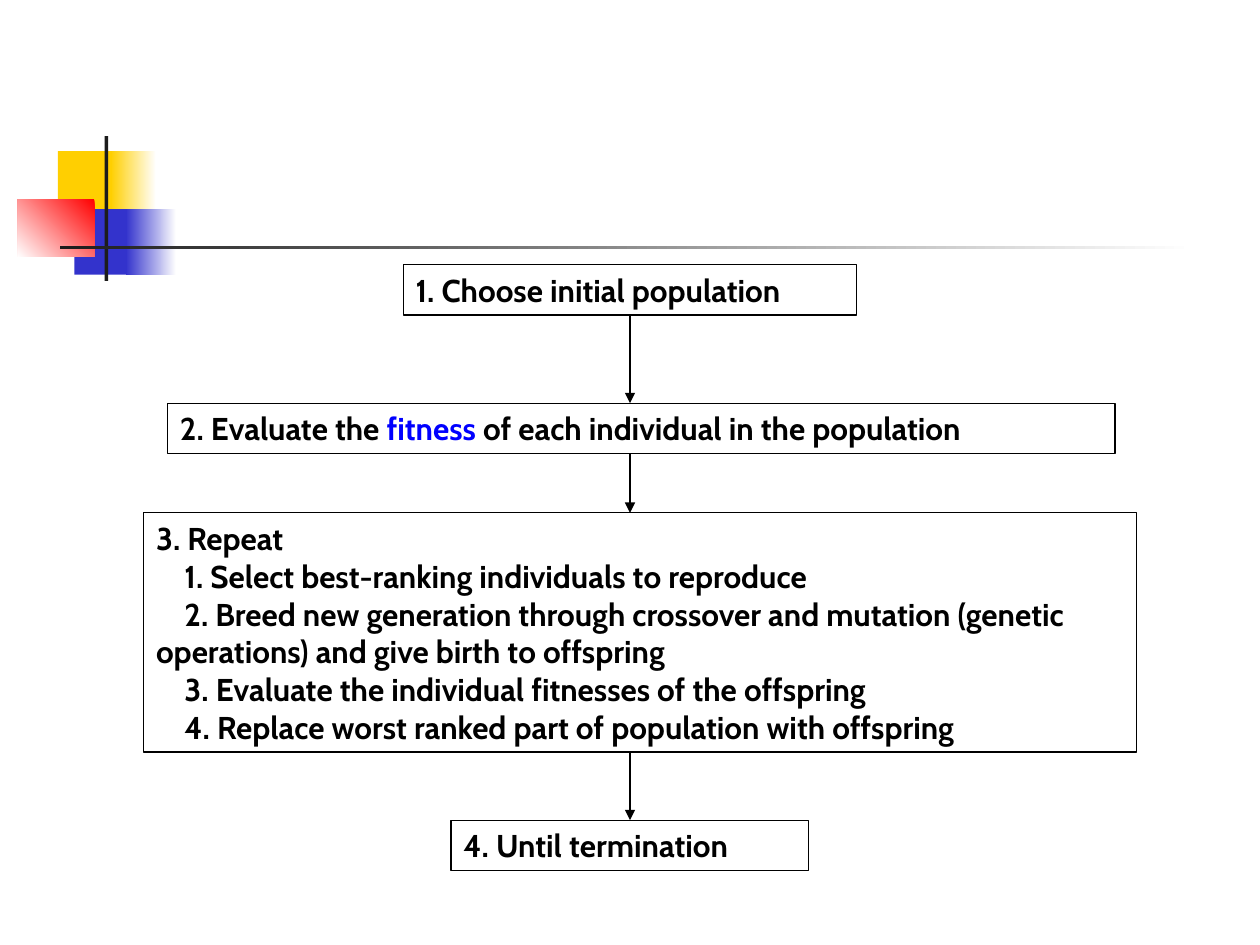
"""Build a slide with the flow of a genetic algorithm."""
from itertools import pairwise
from lxml.etree import SubElement
from pptx import Presentation
from pptx.dml.color import RGBColor
from pptx.enum.shapes import MSO_CONNECTOR, MSO_SHAPE
from pptx.enum.text import MSO_ANCHOR, MSO_AUTO_SIZE, PP_ALIGN
from pptx.oxml.ns import qn
from pptx.util import Inches, Pt

THEME = {
    "font": "Cabin", "size": Pt(18), "line": Pt(0.75),
    "ink": "000000", "mark": "0000FF", "paper": "FFFFFF",
    "gold": "FFCF01", "blue": "3333CC", "red": "FF0000", "dark": "1C1C1C",
}
WIDE, HIGH = Inches(10), Inches(7.5)
COLS, ROWS = 100, 75
AXIS = 50
INDENT = 2.25

DECOR = [
    ((4.6, 12, 4.8, 5.2), ["gold"], 0),
    ((8.8, 12, 3.6, 5.2), ["paper", "gold"], 180),
    ((5.9, 16.6, 4.6, 5.2), ["blue"], 0),
    ((10, 16.6, 4, 5.2), ["paper", "blue"], 180),
    ((1.4, 15.8, 6.1, 4.6), ["red", "paper"], 225),
    ((8.3, 10.8, 0.3, 11.5), ["dark"], 0),
    ((4.8, 19.5, 90, 0.3), ["paper", "dark"], 180),
]

STEPS = [
    ((32, 21, 36, 4), [(0, [("1. Choose initial population", "ink")])]),
    ((13.3, 32, 75.2, 4), [(0, [
        ("2. Evaluate the ", "ink"),
        ("fitness", "mark"),
        (" of each individual in the population", "ink"),
    ])]),
    ((11.4, 40.7, 78.8, 19), [
        (0, [("3. Repeat", "ink")]),
        (1, [("1. Select best-ranking individuals to reproduce", "ink")]),
        (1, [("2. Breed new generation through crossover and mutation "
              "(genetic operations) and give birth to offspring", "ink")]),
        (1, [("3. Evaluate the individual fitnesses of the offspring", "ink")]),
        (1, [("4. Replace worst ranked part of population with offspring",
              "ink")]),
    ]),
    ((35.8, 65.1, 28.4, 4), [(0, [("4. Until termination", "ink")])]),
]


def tone(name):
    return RGBColor.from_string(THEME[name])


def across(cols):
    return round(WIDE * cols / COLS)


def down(rows):
    return round(HIGH * rows / ROWS)


def place(area):
    left, top, width, height = area
    return across(left), down(top), across(width), down(height)


def add_decor(slide, area, tones, angle):
    block = slide.shapes.add_shape(MSO_SHAPE.RECTANGLE, *place(area))
    block.shadow.inherit = False
    block.line.fill.background()
    if len(tones) == 1:
        block.fill.solid()
        block.fill.fore_color.rgb = tone(tones[0])
        return
    block.fill.gradient()
    block.fill.gradient_angle = angle
    for stop, name in zip(block.fill.gradient_stops, tones):
        stop.color.rgb = tone(name)


def add_step(slide, area, lines):
    box = slide.shapes.add_shape(MSO_SHAPE.RECTANGLE, *place(area))
    box.shadow.inherit = False
    box.fill.background()
    box.line.color.rgb = tone("ink")
    box.line.width = THEME["line"]
    frame = box.text_frame
    frame.word_wrap = True
    frame.auto_size = MSO_AUTO_SIZE.NONE
    frame.vertical_anchor = MSO_ANCHOR.TOP
    for row, (level, runs) in enumerate(lines):
        para = frame.paragraphs[0] if row == 0 else frame.add_paragraph()
        para.alignment = PP_ALIGN.LEFT
        if level:
            props = para._p.get_or_add_pPr()
            props.set("marL", "0")
            props.set("indent", str(across(INDENT * level)))
        for text, color in runs:
            run = para.add_run()
            run.text = text
            run.font.name = THEME["font"]
            run.font.size = THEME["size"]
            run.font.bold = True
            run.font.color.rgb = tone(color)
    return box


def add_arrow(slide, above, below):
    mid = across(AXIS)
    arrow = slide.shapes.add_connector(
        MSO_CONNECTOR.STRAIGHT, mid, above.top + above.height, mid, below.top)
    if above.left + above.width // 2 == mid:
        arrow.begin_connect(above, 2)
    if below.left + below.width // 2 == mid:
        arrow.end_connect(below, 0)
    arrow.line.color.rgb = tone("ink")
    arrow.line.width = THEME["line"]
    SubElement(arrow.line._get_or_add_ln(), qn("a:tailEnd"), type="triangle")
    SubElement(arrow._element.spPr, qn("a:effectLst"))


def main():
    deck = Presentation()
    deck.slide_width, deck.slide_height = WIDE, HIGH
    slide = deck.slides.add_slide(deck.slide_layouts[6])
    for area, tones, angle in DECOR:
        add_decor(slide, area, tones, angle)
    boxes = [add_step(slide, area, lines) for area, lines in STEPS]
    for above, below in pairwise(boxes):
        add_arrow(slide, above, below)
    deck.save("out.pptx")


if __name__ == "__main__":
    main()
